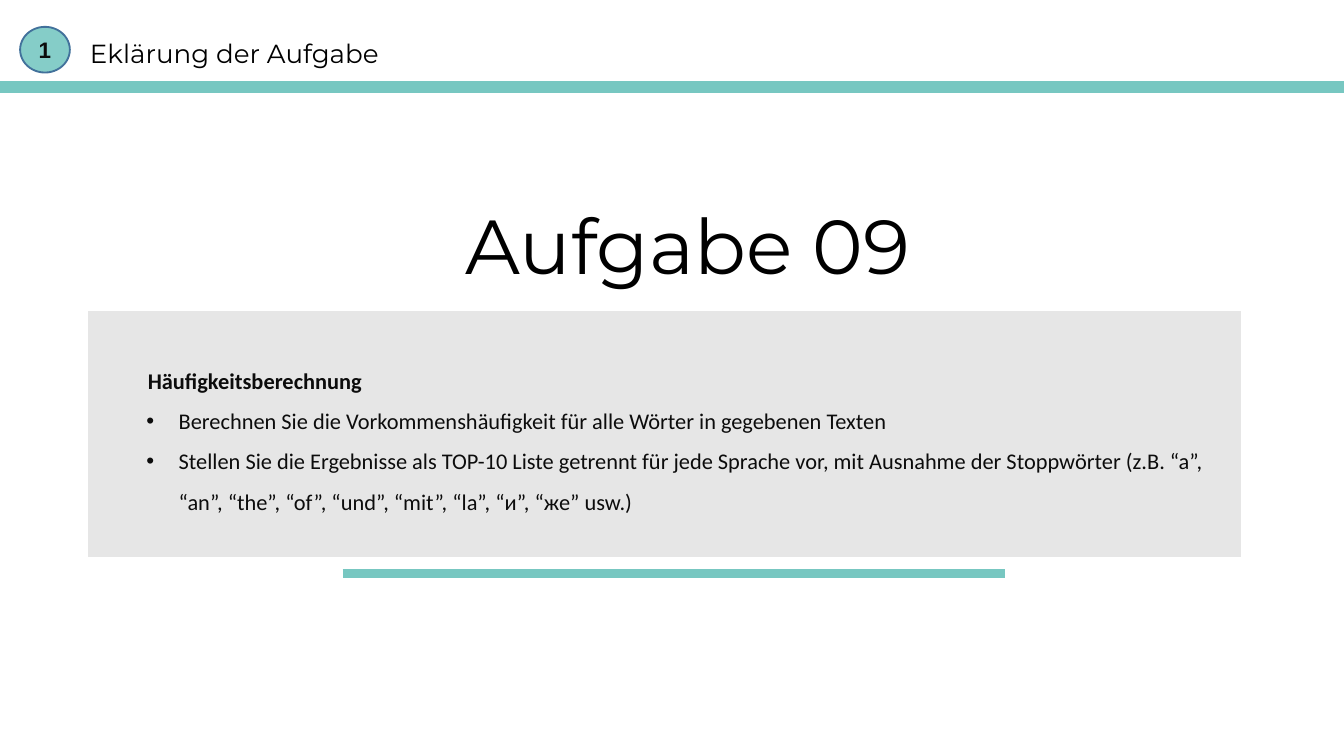
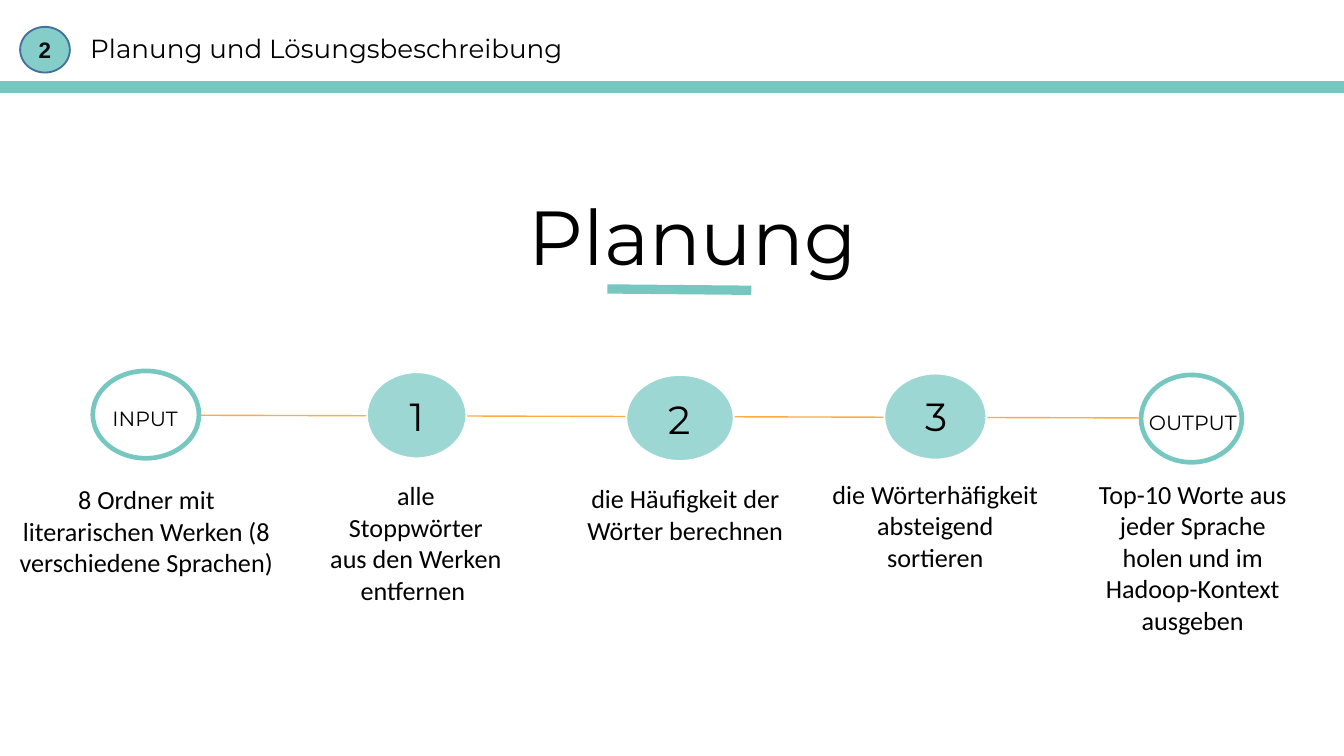
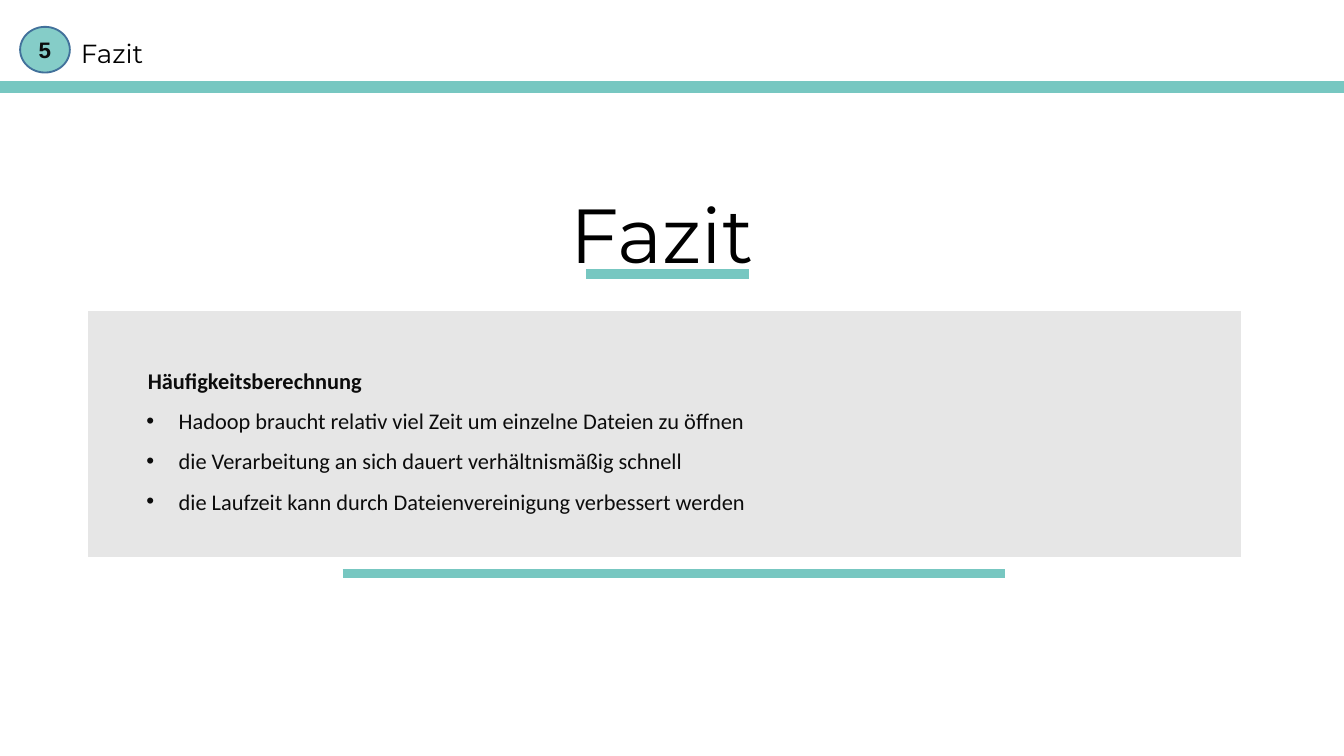
from dataclasses import dataclass

from lxml import etree
from pptx import Presentation
from pptx import util as u
from pptx.dml.color import RGBColor
from pptx.enum import shapes, text
from pptx.oxml.ns import qn

TEAL = "77C7C1"
BADGE_FILL = "85CDC8"
BADGE_LINE = "42719B"
STEP_FILL = "9DD7D3"
ORANGE = "FFAB40"
PANEL = "E6E6E6"
WHITE = "FFFFFF"
BLACK = "000000"
INK = "0C0C0C"

Box = tuple[float, float, float, float]
Point = tuple[float, float]


@dataclass(frozen=True)
class Style:
    font: str
    size: float
    color: str = BLACK
    bold: bool = False


HEADER = Style("Montserrat", 14)
TITLE = Style("Montserrat", 41)
ENDPOINT = Style("Montserrat", 11)
NUMBER = Style("Montserrat", 21)
CAPTION = Style("Calibri", 14)
BADGE = Style("Arial", 12, INK, True)
PANEL_HEADING = Style("Calibri", 12, INK, True)
PANEL_TEXT = Style("Calibri", 12, INK)


@dataclass(frozen=True)
class Step:
    label: str
    circle: Box
    label_box: Box
    caption: list[str]
    caption_box: Box
    endpoint: bool = False


STEPS = [
    Step("INPUT", (0.69, 2.76, 0.79, 0.65), (0.7, 2.98, 0.76, 0.18),
         ["8 Ordner mit literarischen Werken (8 verschiedene Sprachen)"],
         (0.06, 3.56, 2.06, 1.33), True),
    Step("1", (2.73, 2.77, 0.74, 0.64), (2.9, 2.88, 0.4, 0.43),
         ["alle Stoppwörter aus den Werken entfernen "],
         (2.38, 3.53, 1.43, 1.33)),
    Step("2", (4.66, 2.79, 0.8, 0.64), (4.84, 2.9, 0.43, 0.43),
         ["die Häufigkeit der Wörter berechnen"],
         (4.21, 3.55, 1.78, 1.19)),
    Step("3", (6.58, 2.78, 0.76, 0.64), (6.76, 2.88, 0.41, 0.43),
         ["die Wörterhäfigkeit absteigend sortieren"],
         (6.11, 3.52, 1.7, 1.59)),
    Step("OUTPUT", (8.49, 2.79, 0.75, 0.65), (8.42, 3.01, 0.91, 0.25),
         ["Top-10 Worte aus jeder Sprache holen und im Hadoop-Kontext", "ausgeben"],
         (8.09, 3.52, 1.57, 1.59), True),
]


def rgb(color: str) -> RGBColor:
    return RGBColor.from_string(color)


def inches(values: tuple[float, ...]) -> list[u.Length]:
    return [u.Inches(value) for value in values]


def add_run(paragraph, content: str, style: Style) -> None:
    run = paragraph.add_run()
    run.text = content
    run.font.name = style.font
    run.font.size = u.Pt(style.size)
    run.font.bold = style.bold
    run.font.color.rgb = rgb(style.color)


def prepare_frame(shape):
    """Set wrapping and margins and return the text frame."""
    frame = shape.text_frame
    frame.word_wrap = True
    frame.margin_left = frame.margin_right = u.Inches(0.07)
    frame.margin_top = frame.margin_bottom = u.Inches(0.04)
    return frame


def add_paragraphs(frame, lines: list[str]):
    """Yield one paragraph for each line, starting with the existing one."""
    for index, line in enumerate(lines):
        yield (frame.add_paragraph() if index else frame.paragraphs[0]), line


def write_centred(shape, lines: list[str], style: Style) -> None:
    for paragraph, line in add_paragraphs(prepare_frame(shape), lines):
        paragraph.alignment = text.PP_ALIGN.CENTER
        add_run(paragraph, line, style)


def add_text(slide, box: Box, lines: list[str], style: Style) -> None:
    write_centred(slide.shapes.add_textbox(*inches(box)), lines, style)


def add_shape(slide, kind, box: Box, fill: str, line: str, width: float = 1):
    shape = slide.shapes.add_shape(kind, *inches(box))
    shape.shadow.inherit = False
    shape.fill.solid()
    shape.fill.fore_color.rgb = rgb(fill)
    shape.line.color.rgb = rgb(line)
    shape.line.width = u.Pt(width)
    shape.text_frame.vertical_anchor = text.MSO_ANCHOR.MIDDLE
    return shape


def add_line(slide, start: Point, end: Point, color: str = TEAL, width: float = 5) -> None:
    line = slide.shapes.add_connector(
        shapes.MSO_CONNECTOR.STRAIGHT, *inches(start + end))
    line.line.color.rgb = rgb(color)
    line.line.width = u.Pt(width)
    properties = line._element.find(qn("p:spPr"))
    etree.SubElement(properties, qn("a:effectLst"))


def add_header(slide, number: str, heading: str, heading_box: Box) -> None:
    add_line(slide, (0, 0.65), (10, 0.65), width=6.5)
    add_text(slide, heading_box, [heading], HEADER)
    badge = add_shape(slide, shapes.MSO_SHAPE.OVAL, (0.15, 0.2, 0.37, 0.34),
                      BADGE_FILL, BADGE_LINE)
    write_centred(badge, [number], BADGE)


def indent(paragraph, left: float, first: float) -> None:
    properties = paragraph._p.get_or_add_pPr()
    properties.set("marL", str(u.Inches(left)))
    properties.set("indent", str(u.Inches(first)))


def add_bullet(paragraph) -> None:
    properties = paragraph._p.get_or_add_pPr()
    bullet_color = etree.SubElement(properties, qn("a:buClr"))
    etree.SubElement(bullet_color, qn("a:srgbClr"), val=INK)
    etree.SubElement(properties, qn("a:buFont"), typeface="Arial")
    etree.SubElement(properties, qn("a:buChar"), char="•")


def add_panel(slide, heading: str, bullets: list[str]) -> None:
    """Draw the grey text panel and the teal rule below it."""
    panel = add_shape(slide, shapes.MSO_SHAPE.RECTANGLE, (0.65, 2.31, 8.59, 1.84),
                      PANEL, WHITE)
    lines = [heading, *bullets]
    for index, (paragraph, line) in enumerate(add_paragraphs(prepare_frame(panel), lines)):
        paragraph.alignment = text.PP_ALIGN.LEFT
        paragraph.level = 1
        paragraph.line_spacing = 1.5
        if index:
            indent(paragraph, 0.61, -0.24)
            add_bullet(paragraph)
        else:
            indent(paragraph, 0.38, 0)
        add_run(paragraph, line, PANEL_TEXT if index else PANEL_HEADING)
    add_line(slide, (2.55, 4.27), (7.48, 4.27))


def add_step(slide, step: Step) -> None:
    if step.endpoint:
        fill, line, width, style = WHITE, TEAL, 2.5, ENDPOINT
    else:
        fill, line, width, style = STEP_FILL, WHITE, 1, NUMBER
    add_shape(slide, shapes.MSO_SHAPE.OVAL, step.circle, fill, line, width)
    add_text(slide, step.label_box, [step.label], style)
    add_text(slide, step.caption_box, step.caption, CAPTION)


def build_task(slide) -> None:
    add_header(slide, "1", "Eklärung der Aufgabe", (0.45, 0.24, 2.59, 0.34))
    add_text(slide, (3.12, 1.43, 4, 0.76), ["Aufgabe 09"], TITLE)
    add_panel(slide, "Häufigkeitsberechnung", [
        "Berechnen Sie die Vorkommenshäufigkeit für alle Wörter in gegebenen Texten",
        "Stellen Sie die Ergebnisse als TOP-10 Liste getrennt für jede Sprache vor, "
        "mit Ausnahme der Stoppwörter (z.B. “a”, “an”, “the”, “of”, “und”, “mit”, "
        "“la”, “и”, “же” usw.)",
    ])


def build_planning(slide) -> None:
    add_header(slide, "2", "Planung und Lösungsbeschreibung", (0.37, 0.2, 4.12, 0.6))
    add_text(slide, (3.73, 1.37, 2.85, 0.76), ["Planung"], TITLE)
    add_line(slide, (4.52, 2.15), (5.59, 2.16))
    add_line(slide, (1.48, 3.09), (8.49, 3.11), ORANGE, 0.75)
    for step in STEPS:
        add_step(slide, step)


def build_conclusion(slide) -> None:
    add_header(slide, "5", "Fazit", (0.46, 0.24, 0.75, 0.3))
    add_text(slide, (4.02, 1.35, 1.81, 0.76), ["Fazit"], TITLE)
    add_line(slide, (4.36, 2.04), (5.57, 2.04))
    add_panel(slide, "Häufigkeitsberechnung", [
        "Hadoop braucht relativ viel Zeit um einzelne Dateien zu öffnen",
        "die Verarbeitung an sich dauert verhältnismäßig schnell",
        "die Laufzeit kann durch Dateienvereinigung verbessert werden",
    ])


def main() -> None:
    presentation = Presentation()
    presentation.slide_width = u.Inches(10)
    presentation.slide_height = u.Inches(10 * 9 / 16)
    blank = presentation.slide_layouts[6]
    for build in (build_task, build_planning, build_conclusion):
        build(presentation.slides.add_slide(blank))
    presentation.save("out.pptx")


if __name__ == "__main__":
    main()
